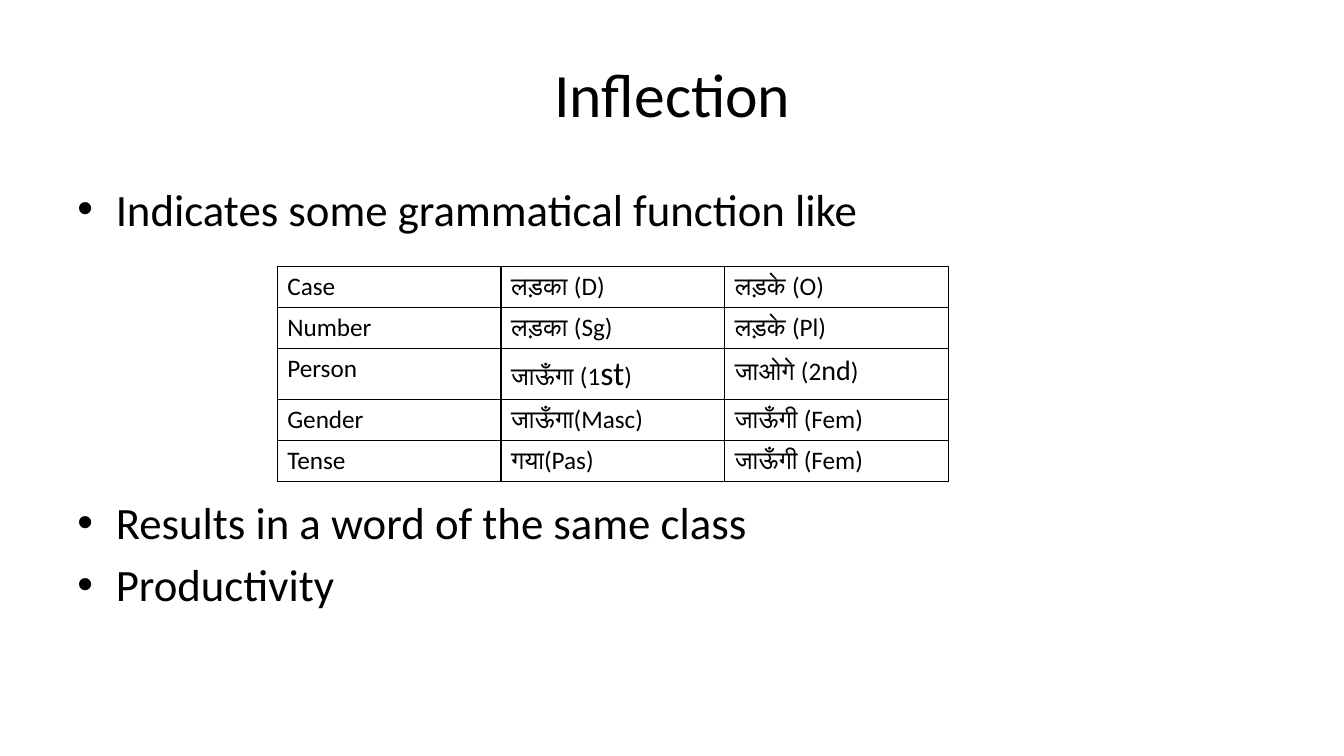
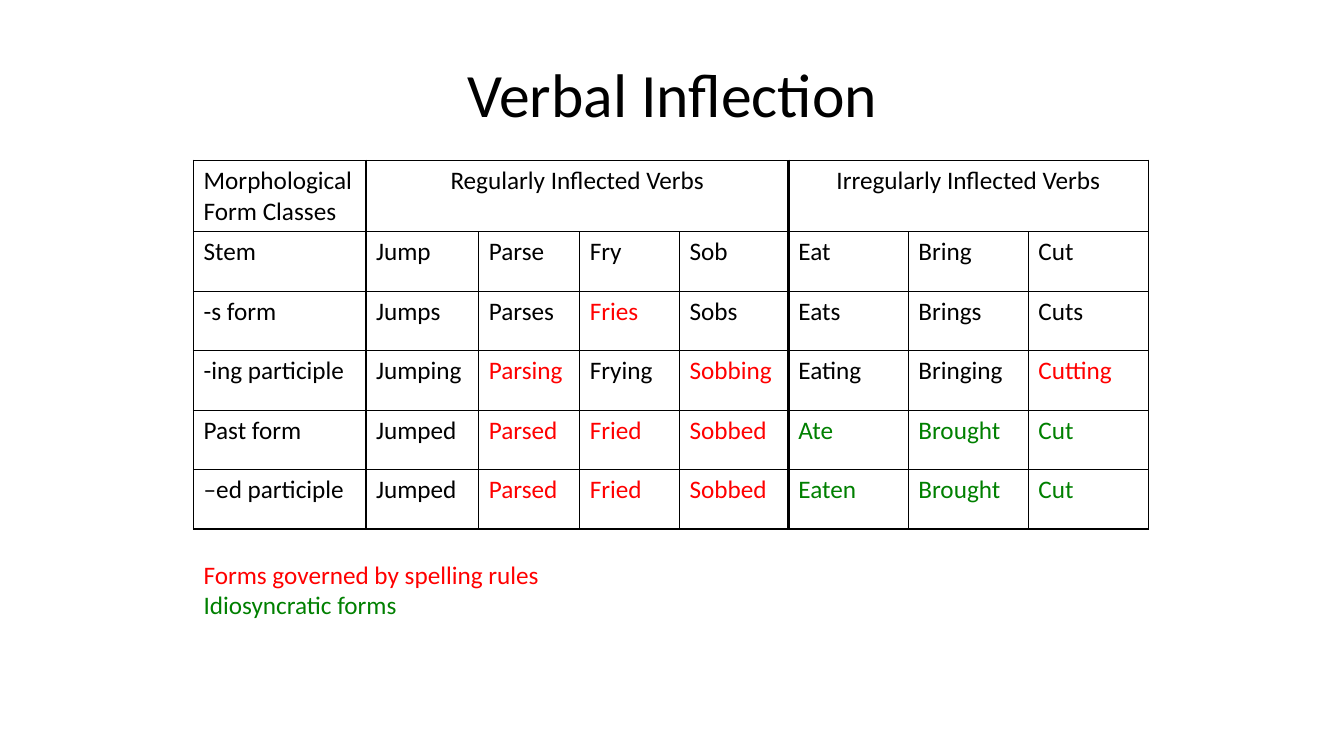
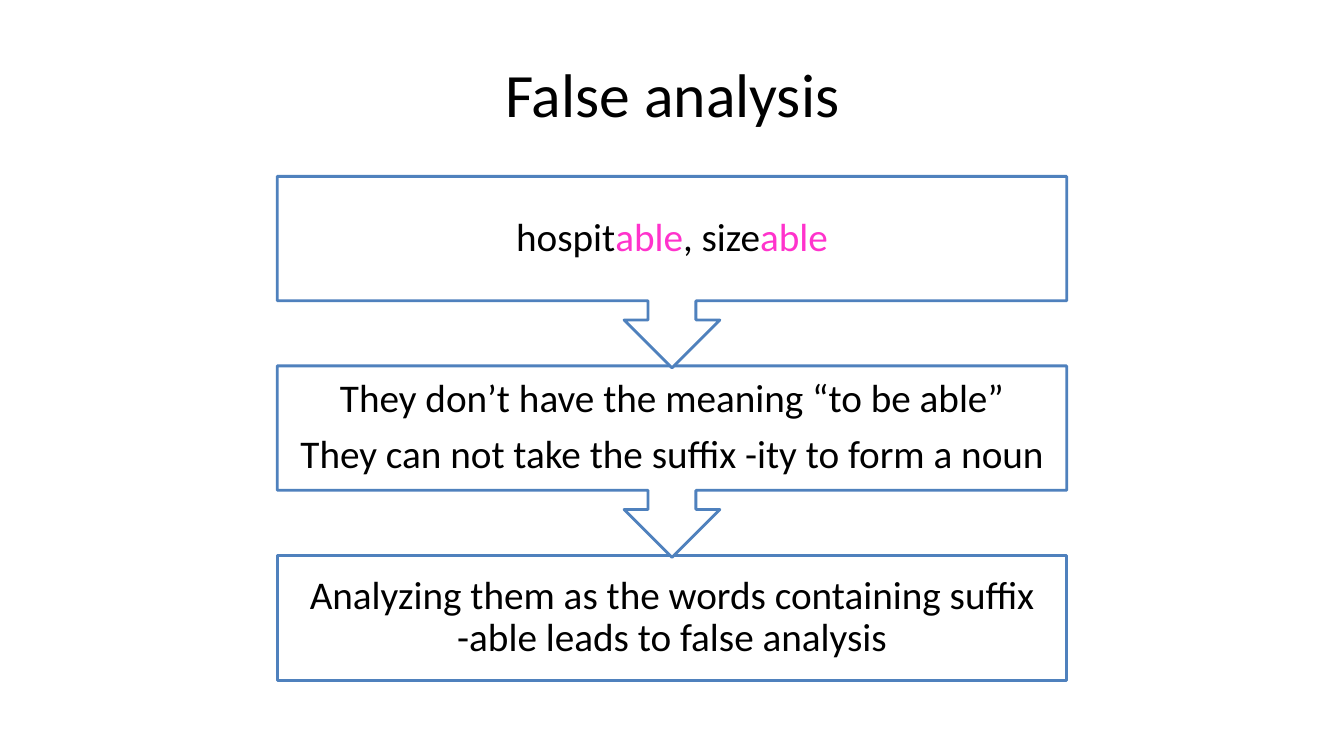
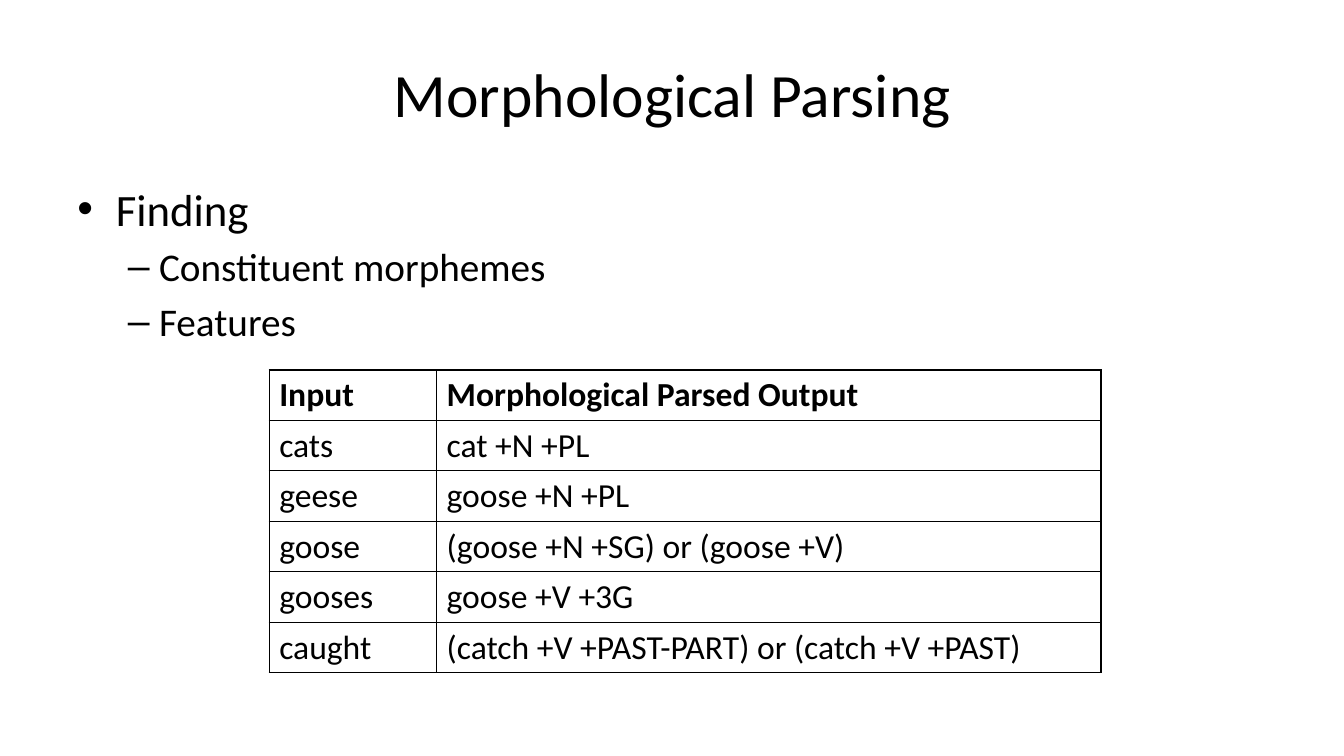
import pptx
import pptx.dml.color
import pptx.enum.shapes
import pptx.enum.text
import pptx.oxml
import pptx.oxml.ns
import pptx.util

Inches = pptx.util.Inches
Pt = pptx.util.Pt
RGBColor = pptx.dml.color.RGBColor
ALIGN = pptx.enum.text.PP_ALIGN
ANCHOR = pptx.enum.text.MSO_ANCHOR
SHAPE = pptx.enum.shapes.MSO_SHAPE

BLACK = RGBColor(0x00, 0x00, 0x00)
WHITE = RGBColor(0xFF, 0xFF, 0xFF)
RED = RGBColor(0xFF, 0x00, 0x00)
GREEN = RGBColor(0x00, 0x80, 0x00)
PINK = RGBColor(0xFF, 0x33, 0xCC)
BLUE = RGBColor(0x4F, 0x81, 0xBD)

BULLETS = {
    0: {"character": "•", "margin": 0.38, "hanging": 0.38, "size": 32, "before": 6},
    1: {"character": "–", "margin": 0.81, "hanging": 0.31, "size": 28, "before": 5.3},
}


def write_text(paragraph, text, size=18, color=BLACK, bold=False, align=ALIGN.LEFT):
    paragraph.alignment = align
    pieces = [(text, {})] if isinstance(text, str) else text
    for piece, changes in pieces:
        run = paragraph.add_run()
        run.text = piece
        run.font.name = "Calibri"
        run.font.size = Pt(changes.get("size", size))
        run.font.bold = bold
        run.font.color.rgb = changes.get("color", color)


def spelling(text):
    return [(text, {"color": RED})]


def idiosyncratic(text):
    return [(text, {"color": GREEN})]


class Deck:
    def __init__(self):
        self.presentation = pptx.Presentation()
        self.presentation.slide_width = Inches(13.33)
        self.presentation.slide_height = Inches(7.5)
        self.slide = None

    def add_slide(self, title):
        self.slide = self.presentation.slides.add_slide(self.presentation.slide_layouts[6])
        frame = self.add_frame(0.67, 0.3, 12, 1.25)
        frame.vertical_anchor = ANCHOR.MIDDLE
        write_text(frame.paragraphs[0], title, size=44, align=ALIGN.CENTER)

    def add_frame(self, left, top, width, height):
        box = self.slide.shapes.add_textbox(
            Inches(left), Inches(top), Inches(width), Inches(height))
        box.text_frame.word_wrap = True
        return box.text_frame

    def paragraphs(self, frame, texts):
        for index, text in enumerate(texts):
            yield (frame.add_paragraph() if index else frame.paragraphs[0]), text

    def add_bullets(self, top, height, items):
        frame = self.add_frame(0.67, top, 12, height)
        for index, (paragraph, (level, text)) in enumerate(self.paragraphs(frame, items)):
            style = BULLETS[level]
            properties = paragraph._p.get_or_add_pPr()
            properties.set("marL", str(Inches(style["margin"])))
            properties.set("indent", str(-Inches(style["hanging"])))
            for tag, name, value in (("a:buFont", "typeface", "Arial"),
                                     ("a:buChar", "char", style["character"])):
                element = pptx.oxml.parse_xml(f"<{tag} {pptx.oxml.ns.nsdecls('a')}/>")
                element.set(name, value)
                properties.append(element)
            paragraph.level = level
            if index:
                paragraph.space_before = Pt(style["before"])
            write_text(paragraph, text, size=style["size"])

    def add_lines(self, left, top, width, height, texts):
        frame = self.add_frame(left, top, width, height)
        for paragraph, text in self.paragraphs(frame, texts):
            write_text(paragraph, text)

    def add_borders(self, cell, left, right):
        properties = cell._tc.get_or_add_tcPr()
        for side, width in (("L", left), ("R", right), ("T", 1), ("B", 1)):
            properties.append(pptx.oxml.parse_xml(
                f'<a:ln{side} {pptx.oxml.ns.nsdecls("a")} w="{Pt(width)}">'
                f'<a:solidFill><a:srgbClr val="{BLACK}"/></a:solidFill></a:ln{side}>'))

    def add_table(self, left, top, widths, heights, rows,
                  size=18, bold_header=False, spans=None, thick_edges=()):
        spans = spans or {}
        table = self.slide.shapes.add_table(
            len(rows), len(widths), Inches(left), Inches(top),
            Inches(sum(widths)), Inches(sum(heights))).table
        table.first_row = False
        table.horz_banding = False
        for column, width in zip(table.columns, widths):
            column.width = Inches(width)
        for row_index, (row, height) in enumerate(zip(rows, heights)):
            table.rows[row_index].height = Inches(height)
            for column_index, text in enumerate(row):
                cell = table.cell(row_index, column_index)
                span = spans.get((row_index, column_index), 1)
                edges = (column_index, column_index + span)
                self.add_borders(cell, *(2.25 if edge in thick_edges else 1 for edge in edges))
                cell.fill.background()
                if text:
                    write_text(cell.text_frame.paragraphs[0], text, size=size,
                               bold=bold_header and row_index == 0,
                               align=ALIGN.CENTER if span > 1 else ALIGN.LEFT)
        for (row_index, column_index), span in spans.items():
            table.cell(row_index, column_index).merge(
                table.cell(row_index, column_index + span - 1))

    def add_step(self, kind, top, height, texts):
        shape = self.slide.shapes.add_shape(
            kind, Inches(2.75), Inches(top), Inches(7.83), Inches(height))
        shape.shadow.inherit = False
        shape.fill.solid()
        shape.fill.fore_color.rgb = WHITE
        shape.line.color.rgb = BLUE
        shape.line.width = Pt(2)
        frame = shape.text_frame
        frame.word_wrap = True
        frame.vertical_anchor = ANCHOR.MIDDLE
        frame.margin_left = frame.margin_right = Inches(0.22)
        frame.margin_top = frame.margin_bottom = Inches(0.22)
        for paragraph, text in self.paragraphs(frame, texts):
            paragraph.line_spacing = 0.9
            paragraph.space_after = Pt(9.8)
            write_text(paragraph, text, size=28, align=ALIGN.CENTER)


def build_inflection(deck):
    deck.add_slide("Inflection")
    deck.add_bullets(1.75, 0.7, [(0, "Indicates some grammatical function like")])
    deck.add_bullets(4.86, 1.84, [(0, "Results in a word of the same class"),
                                  (0, "Productivity")])
    deck.add_table(2.75, 2.64, [2.22] * 3, [0.41, 0.41, 0.5, 0.41, 0.41], [
        ["Case", "लड़का (D)", "लड़के (O)"],
        ["Number", "लड़का (Sg)", "लड़के (Pl)"],
        ["Person",
         [("जाऊँगा (1", {}), ("st", {"size": 24}), (")", {})],
         [("जाओगे (2", {}), ("nd", {"size": 20}), (")", {})]],
        ["Gender", "जाऊँगा(Masc)", "जाऊँगी (Fem)"],
        ["Tense", "गया(Pas)", "जाऊँगी (Fem)"],
    ])


def build_verbal_inflection(deck):
    deck.add_slide("Verbal Inflection")
    regular_past = ["Jumped", spelling("Parsed"), spelling("Fried"), spelling("Sobbed")]
    irregular_past = [idiosyncratic("Brought"), idiosyncratic("Cut")]
    deck.add_table(
        1.92, 1.59, [1.71, 1.12, 1, 0.99, 1.08, 1.19, 1.19, 1.19], [0.71] + [0.59] * 5, [
            ["Morphological Form Classes", "Regularly Inflected Verbs", "", "", "",
             "Irregularly Inflected Verbs", "", ""],
            ["Stem", "Jump", "Parse", "Fry", "Sob", "Eat", "Bring", "Cut"],
            ["-s form", "Jumps", "Parses", spelling("Fries"), "Sobs", "Eats", "Brings", "Cuts"],
            ["-ing participle", "Jumping", spelling("Parsing"), "Frying", spelling("Sobbing"),
             "Eating", "Bringing", spelling("Cutting")],
            ["Past form", *regular_past, idiosyncratic("Ate"), *irregular_past],
            ["–ed participle", *regular_past, idiosyncratic("Eaten"), *irregular_past],
        ], spans={(0, 1): 4, (0, 5): 3}, thick_edges=(1, 5))
    deck.add_lines(1.92, 5.5, 4.25, 0.71, [spelling("Forms governed by spelling rules"),
                                           idiosyncratic("Idiosyncratic forms")])


def build_false_analysis(deck):
    deck.add_slide("False analysis")
    suffix = ("able", {"color": PINK})
    steps = [
        [[("hospit", {}), suffix, (", size", {}), suffix]],
        ["They don’t have the meaning “to be able”",
         "They can not take the suffix -ity to form a noun"],
        ["Analyzing them as the words containing suffix -able leads to false analysis"],
    ]
    last = len(steps) - 1
    for index in reversed(range(len(steps))):
        kind, height = ((SHAPE.RECTANGLE, 1.24) if index == last
                        else (SHAPE.DOWN_ARROW_CALLOUT, 1.9))
        deck.add_step(kind, 1.75 + 1.88 * index, height, steps[index])


def build_parsing(deck):
    deck.add_slide("Morphological Parsing")
    deck.add_bullets(1.75, 1.85, [(0, "Finding"), (1, "Constituent morphemes"), (1, "Features")])
    deck.add_table(2.67, 3.67, [1.66, 6.59], [0.5] * 6, [
        ["Input", "Morphological Parsed Output"],
        ["cats", "cat +N +PL"],
        ["geese", "goose +N +PL"],
        ["goose", "(goose +N +SG) or (goose +V)"],
        ["gooses", "goose +V +3G"],
        ["caught", "(catch +V +PAST-PART) or (catch +V +PAST)"],
    ], size=24, bold_header=True)


def main():
    deck = Deck()
    build_inflection(deck)
    build_verbal_inflection(deck)
    build_false_analysis(deck)
    build_parsing(deck)
    deck.presentation.save("out.pptx")


if __name__ == "__main__":
    main()
